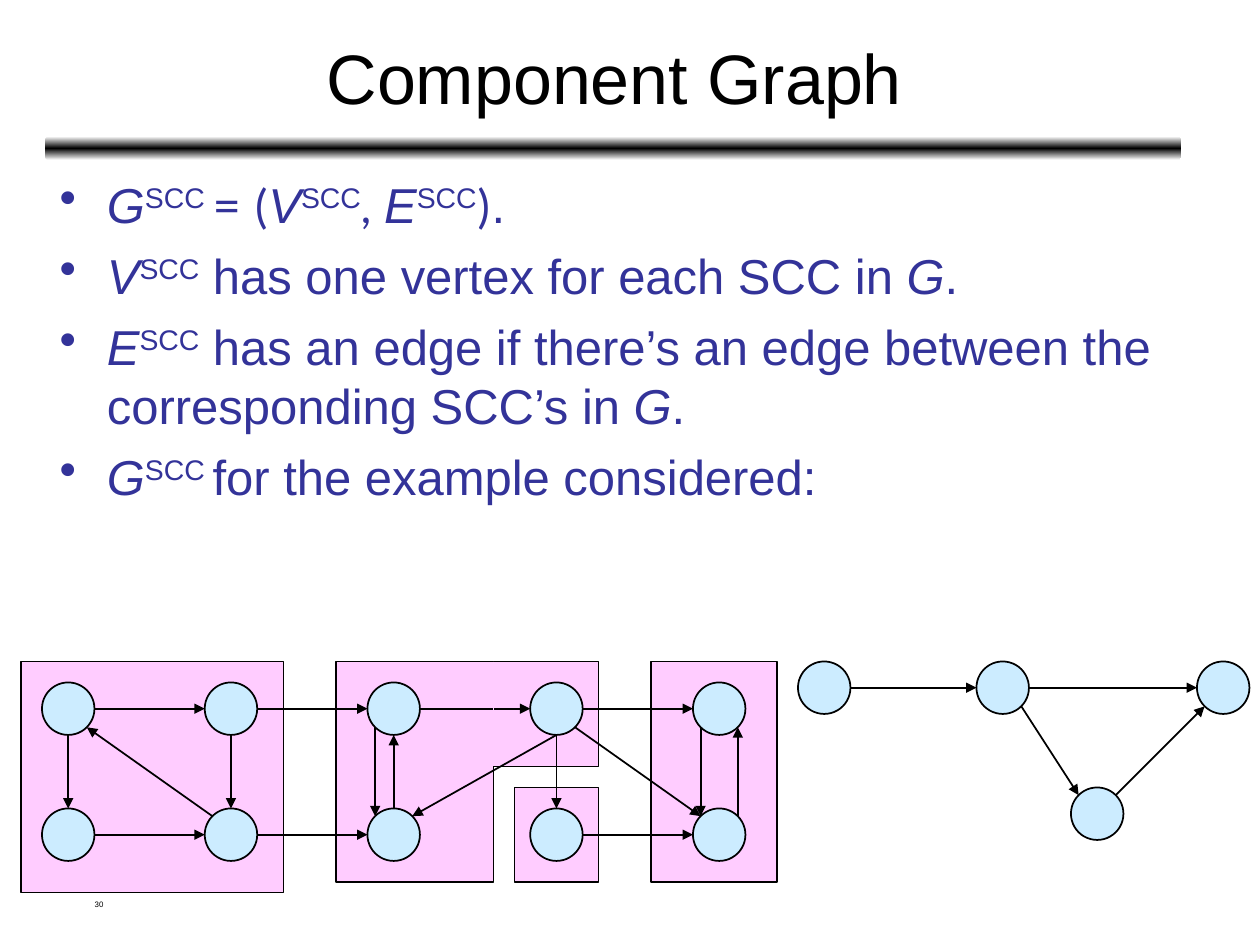
import copy
import math
import pptx
import pptx.util
import pptx.dml.color
import pptx.enum.shapes
import pptx.enum.text
import pptx.oxml.ns
import pptx.oxml.xmlchemy

Pt = pptx.util.Pt
SHAPE = pptx.enum.shapes.MSO_SHAPE
QN = pptx.oxml.ns.qn
COLORS = {"ink": "000000", "text": "333399", "node": "CCECFF", "group": "FFCCFF", "pale": "FFFFFF"}
SIZE = 30
ANGLES = {"e": 0, "se": 45, "s": 90, "sw": 135, "w": 180, "nw": 225, "n": 270, "ne": 315}
GROUPS = [(294, 450, 48, 54), (372, 378, 72, 126), (282, 378, 60, 60),
          (192, 378, 90, 126), (12, 378, 150, 132)]
NODES = {name + str(row): (24 + 93 * col, 390 + 72 * row)
         for row in range(2) for col, name in enumerate("abcde")}
EDGES = ["a0 e b0 w", "a0 s a1 n", "b0 s b1 n", "a1 e b1 w", "b1 nw a0 se", "c0 e d0 w",
         "d0 s c1 ne", "c1 n c0 s", "c0 sw c1 nw", "d0 s d1 n", "e0 sw e1 nw", "e1 ne e0 se",
         "d0 e e0 w", "d0 se e1 nw", "d1 e e1 w", "b0 e c0 w", "b1 e c1 w"]
SCC_NODES = {"p": (456, 378), "q": (558, 378), "r": (684, 378), "s": (612, 450)}
SCC_EDGES = ["p e q w", "q e r w", "q se s nw", "s ne r sw"]
SUP = ("SCC", "sup")
BODY = [
    [("G", "i"), ("SCC ", "sup"), ("= ", "", "Lato"), ("(", "", "Calibri"), ("V", "i"), SUP,
     (", ", "i", "Calibri"), ("E", "i"), SUP, (")", "", "Calibri"), (".", "")],
    [("V", "i"), SUP, (" has one vertex for each SCC in ", ""), ("G", "i"), (".", "")],
    [("E", "i"), SUP, (" has an edge if there’s an edge between the corresponding SCC’s in ", ""),
     ("G", "i"), (".", "")],
    [("G", "i"), ("SCC ", "sup"), ("for the example considered:", "")],
]


def color(key):
    """Return the named colour."""
    return pptx.dml.color.RGBColor.from_string(COLORS[key])


def make_tag(name, **attrs):
    """Make an XML element with the given attributes."""
    tag = pptx.oxml.xmlchemy.OxmlElement(name)
    for key, value in attrs.items():
        tag.set(key, value)
    return tag


def add_shape(slide, kind, box, fill):
    """Draw a filled shape with a thin outline."""
    shape = slide.shapes.add_shape(kind, *map(Pt, box))
    shape.shadow.inherit = False
    shape.fill.solid()
    shape.fill.fore_color.rgb = color(fill)
    shape.line.color.rgb = color("ink")
    shape.line.width = Pt(1)
    return shape


def add_bar(slide):
    """Draw the rule under the title, dark in its middle."""
    bar = add_shape(slide, SHAPE.ROUNDED_RECTANGLE, (26, 78, 649, 13.5), "ink")
    bar.line.fill.background()
    bar.fill.gradient()
    bar.fill.gradient_angle = 90
    for stop in bar.fill.gradient_stops:
        stop.color.rgb = color("pale")
    first = bar._element.spPr.find(".//" + QN("a:gs"))
    mid = copy.deepcopy(first)
    first.addnext(mid)
    mid.set("pos", "50000")
    mid[0].set("val", COLORS["ink"])


def add_line(slide, start, end, hue="ink", arrow=True):
    """Draw a straight line, with an arrowhead if asked."""
    line = slide.shapes.add_connector(
        pptx.enum.shapes.MSO_CONNECTOR.STRAIGHT, *map(Pt, start + end))
    line.line.color.rgb = color(hue)
    line.line.width = Pt(1)
    props = line._element.spPr
    if arrow:
        props.find(QN("a:ln")).append(make_tag("a:tailEnd", type="triangle"))
    props.append(make_tag("a:effectLst"))


def rim(spot, side):
    """Return the point on a node's rim at a compass side."""
    turn = math.radians(ANGLES[side])
    half = SIZE / 2
    return (spot[0] + half + half * math.cos(turn), spot[1] + half + half * math.sin(turn))


def add_graph(slide, nodes, edges):
    """Draw the nodes and the arrows between them."""
    for spot in nodes.values():
        add_shape(slide, SHAPE.OVAL, spot + (SIZE, SIZE), "node")
    for edge in edges:
        tail, out, head, into = edge.split()
        add_line(slide, rim(nodes[tail], out), rim(nodes[head], into))


def add_box(slide, box):
    """Add a wrapping text box and return its frame."""
    frame = slide.shapes.add_textbox(*map(Pt, box)).text_frame
    frame.word_wrap = True
    return frame


def style(font, size, hue, face="Arial"):
    """Set the size, colour and face of a font."""
    font.size = Pt(size)
    font.color.rgb = color(hue)
    font.name = face


def add_label(slide, box, text, size):
    """Add one line of plain text and return its paragraph."""
    frame = add_box(slide, box)
    frame.vertical_anchor = pptx.enum.text.MSO_ANCHOR.MIDDLE
    frame.text = text
    para = frame.paragraphs[0]
    style(para.runs[0].font, size, "ink")
    return para


def add_bullet(para):
    """Give a paragraph a hanging round bullet."""
    props = para._p.get_or_add_pPr()
    props.set("marL", str(Pt(27)))
    props.set("indent", str(-Pt(27)))
    props.append(make_tag("a:buChar", char="•"))


def add_body(slide):
    """Write the bulleted list."""
    frame = add_box(slide, (27, 96, 648, 400))
    for i, parts in enumerate(BODY):
        para = frame.add_paragraph() if i else frame.paragraphs[0]
        add_bullet(para)
        if i:
            para.space_before = Pt(7)
        for text, look, *face in parts:
            run = para.add_run()
            run.text = text
            style(run.font, 28, "text", *face)
            run.font.italic = look == "i"
            if look == "sup":
                run._r.get_or_add_rPr().set("baseline", "30000")


def main():
    """Build the slide and save it."""
    deck = pptx.Presentation()
    deck.slide_width, deck.slide_height = Pt(720), Pt(540)
    slide = deck.slides.add_slide(deck.slide_layouts[6])
    add_bar(slide)
    add_label(slide, (47, 504, 150, 25), "30", 4.5)
    title = add_label(slide, (27, 8, 648, 71), "Component Graph", 40)
    title.alignment = pptx.enum.text.PP_ALIGN.CENTER
    add_body(slide)
    add_graph(slide, SCC_NODES, SCC_EDGES)
    for box in GROUPS:
        add_shape(slide, SHAPE.RECTANGLE, box, "group")
    add_graph(slide, NODES, EDGES)
    add_line(slide, (282, 378), (282, 438), "group", arrow=False)
    deck.save("out.pptx")


if __name__ == "__main__":
    main()
